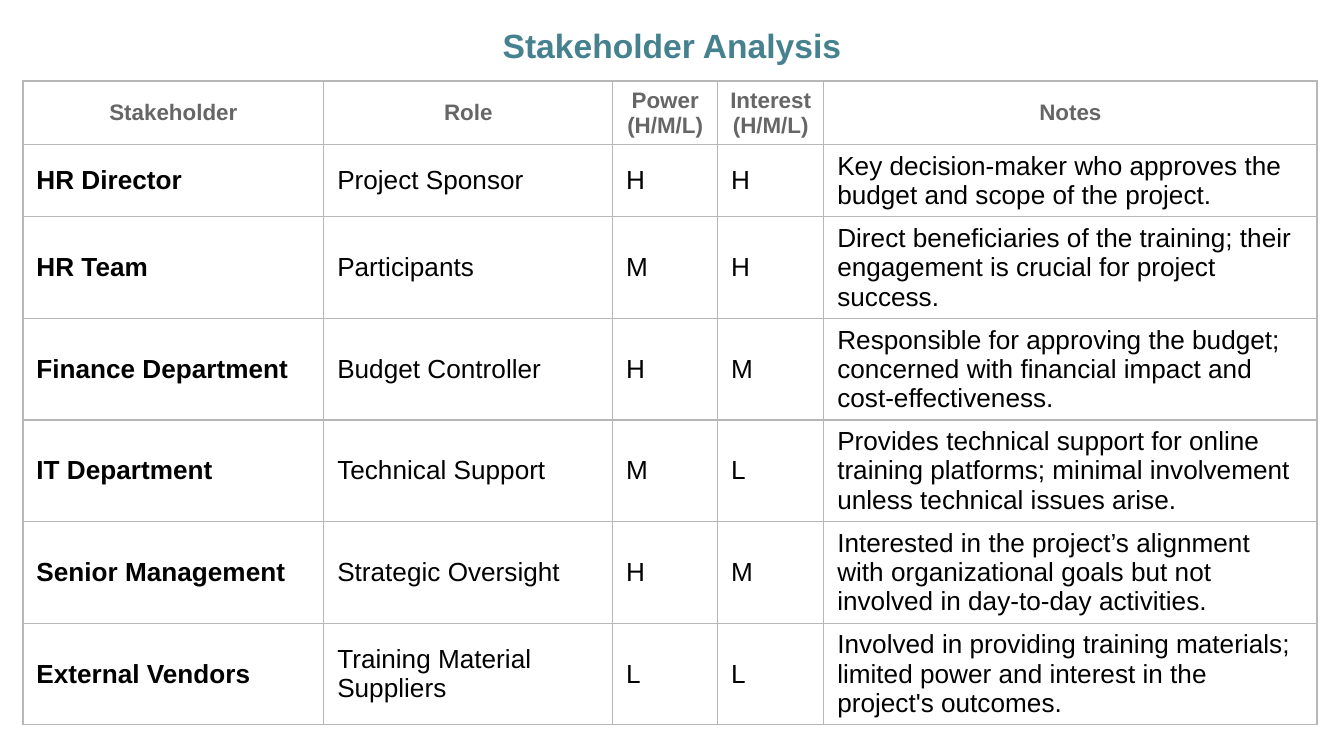
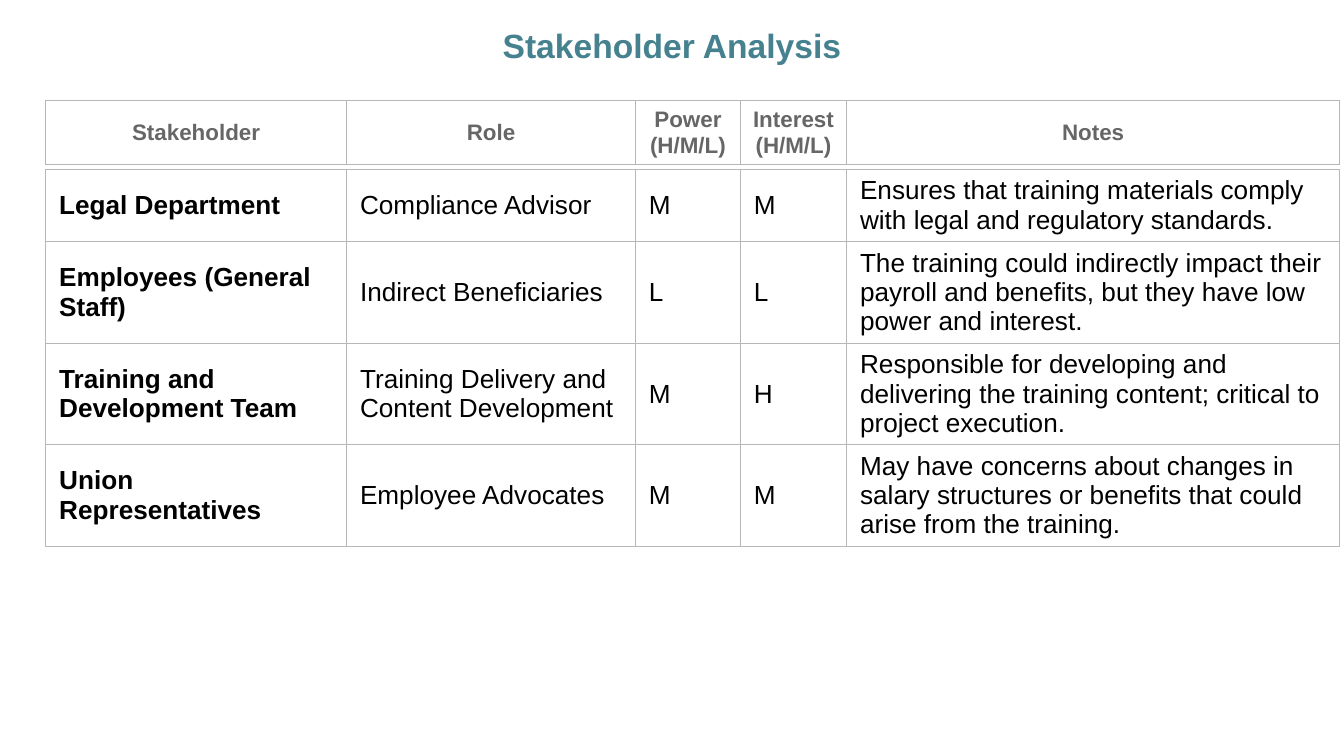
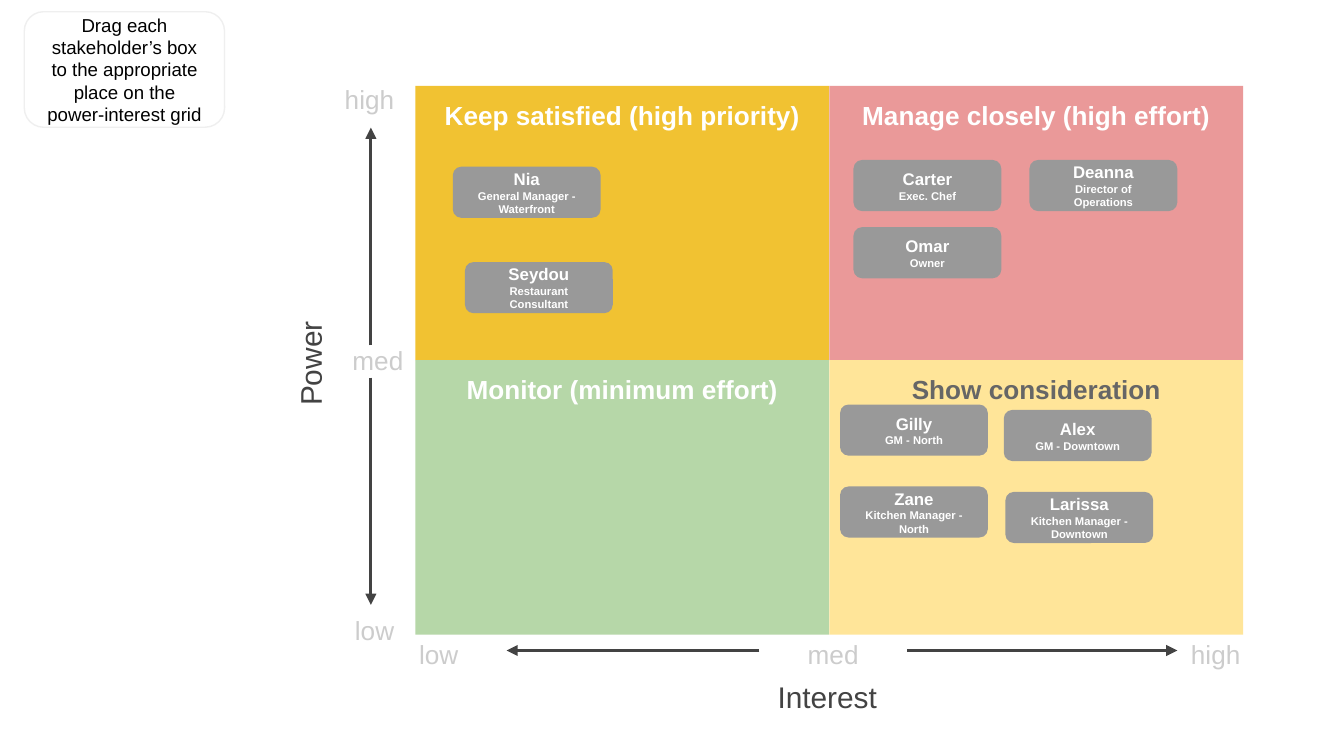
import pptx
import pptx.dml.color
import pptx.enum.shapes
import pptx.enum.text
import pptx.oxml
import pptx.oxml.ns
import pptx.util

Pt = pptx.util.Pt
Align = pptx.enum.text.PP_ALIGN
Anchor = pptx.enum.text.MSO_ANCHOR
Preset = pptx.enum.shapes.MSO_SHAPE

FONT = "Arial"
TEAL, BLACK, WHITE = "45818E", "000000", "FFFFFF"
HEADER_GREY, BORDER_GREY = "666666", "B7B7B7"
CARD_GREY, AXIS_GREY, SCALE_GREY, OUTLINE_GREY = "999999", "434343", "CCCCCC", "EFEFEF"

COLUMN_WIDTHS = [161.2, 154.8, 56.2, 56.9, 264.2]
HEADINGS = ["Stakeholder", "Role", "Power (H/M/L)", "Interest (H/M/L)", "Notes"]
HEADER_HEIGHT, ROW_HEIGHT = 20, 26

MAIN_STAKEHOLDERS = [
    ["HR Director", "Project Sponsor", "H", "H",
     "Key decision-maker who approves the budget and scope of the project."],
    ["HR Team", "Participants", "M", "H",
     "Direct beneficiaries of the training; their engagement is crucial for project success."],
    ["Finance Department", "Budget Controller", "H", "M",
     "Responsible for approving the budget; concerned with financial impact and cost-effectiveness."],
    ["IT Department", "Technical Support", "M", "L",
     "Provides technical support for online training platforms; minimal involvement unless "
     "technical issues arise."],
    ["Senior Management", "Strategic Oversight", "H", "M",
     "Interested in the project’s alignment with organizational goals but not involved in "
     "day-to-day activities."],
    ["External Vendors", "Training Material Suppliers", "L", "L",
     "Involved in providing training materials; limited power and interest in the project's outcomes."],
]
OTHER_STAKEHOLDERS = [
    ["Legal Department", "Compliance Advisor", "M", "M",
     "Ensures that training materials comply with legal and regulatory standards."],
    ["Employees (General Staff)", "Indirect Beneficiaries", "L", "L",
     "The training could indirectly impact their payroll and benefits, but they have low power "
     "and interest."],
    ["Training and Development Team", "Training Delivery and Content Development", "M", "H",
     "Responsible for developing and delivering the training content; critical to project execution."],
    ["Union Representatives", "Employee Advocates", "M", "M",
     "May have concerns about changes in salary structures or benefits that could arise from "
     "the training."],
]

GRID_BOX = (222.5, 46, 443.5, 294)
CARD_SIZE = (79.2, 27.4)
QUADRANTS = [
    ("Keep satisfied (high priority)", "F1C232", WHITE, [
        ("Seydou", "Restaurant Consultant", 26.6, 94.4),
        ("Nia", "General Manager - Waterfront", 20.1, 43.3)]),
    ("Manage closely (high effort)", "EA9999", WHITE, [
        ("Omar", "Owner", 13, 75.7),
        ("Deanna", "Director of Operations", 107.3, 39.7),
        ("Carter", "Exec. Chef", 13, 39.7)]),
    ("Monitor (minimum effort)", "B6D7A8", WHITE, []),
    ("Show consideration", "FFE599", HEADER_GREY, [
        ("Gilly", "GM - North", 5.8, 23.7),
        ("Alex", "GM - Downtown", 93.5, 26.6),
        ("Zane", "Kitchen Manager - North", 5.8, 67.6),
        ("Larissa", "Kitchen Manager - Downtown", 94.4, 70.5)]),
]


def color(value):
    return pptx.dml.color.RGBColor.from_string(value)


def points(box):
    return [Pt(length) for length in box]


def write_text(text_frame, text, size=14, fill=BLACK, bold=False, align=Align.LEFT,
               spacing=None, append=False):
    paragraph = text_frame.add_paragraph() if append else text_frame.paragraphs[0]
    paragraph.alignment = align
    if spacing:
        paragraph.line_spacing = spacing
    run = paragraph.add_run()
    run.text = text
    run.font.name = FONT
    run.font.size = Pt(size)
    run.font.bold = bold
    run.font.color.rgb = color(fill)


def format_frame(text_frame, anchor=Anchor.TOP):
    text_frame.word_wrap = True
    text_frame.auto_size = pptx.enum.text.MSO_AUTO_SIZE.NONE
    text_frame.vertical_anchor = anchor
    text_frame.margin_left = text_frame.margin_right = Pt(7.2)
    text_frame.margin_top = text_frame.margin_bottom = Pt(7.2)
    return text_frame


def add_label(slide, box, text, anchor=Anchor.TOP, rotation=0, **text_format):
    label = slide.shapes.add_textbox(*points(box))
    label.rotation = rotation
    write_text(format_frame(label.text_frame, anchor), text, **text_format)


def add_panel(slide, preset, box, fill=None, line=None, anchor=Anchor.MIDDLE):
    shape = slide.shapes.add_shape(preset, *points(box))
    shape.shadow.inherit = False
    if fill:
        shape.fill.solid()
        shape.fill.fore_color.rgb = color(fill)
    else:
        shape.fill.background()
    if line:
        shape.line.color.rgb = color(line)
        shape.line.width = Pt(0.75)
    else:
        shape.line.fill.background()
    return format_frame(shape.text_frame, anchor)


def add_arrow(slide, start_x, start_y, end_x, end_y):
    arrow = slide.shapes.add_connector(
        pptx.enum.shapes.MSO_CONNECTOR.STRAIGHT, *points((start_x, start_y, end_x, end_y)))
    arrow.line.color.rgb = color(AXIS_GREY)
    arrow.line.width = Pt(1.5)
    line = arrow.line._get_or_add_ln()
    line.append(pptx.oxml.parse_xml(
        f'<a:tailEnd {pptx.oxml.ns.nsdecls("a")} type="triangle"/>'))
    line.addnext(pptx.oxml.parse_xml(f'<a:effectLst {pptx.oxml.ns.nsdecls("a")}/>'))


def add_title(slide, text):
    title = slide.shapes.title
    title.left, title.top, title.width, title.height = points((60, 3, 600, 36))
    write_text(format_frame(title.text_frame), text, size=18, fill=TEAL, bold=True,
               align=Align.CENTER, spacing=1.15)


def format_cell(cell, text, is_header, is_name):
    properties = cell._tc.get_or_add_tcPr()
    for side in ("lnL", "lnR", "lnT", "lnB"):
        properties.append(pptx.oxml.parse_xml(
            f'<a:{side} {pptx.oxml.ns.nsdecls("a")} w="{Pt(0.75)}"><a:solidFill>'
            f'<a:srgbClr val="{BORDER_GREY}"/></a:solidFill></a:{side}>'))
    cell.fill.background()
    cell.vertical_anchor = Anchor.MIDDLE
    cell.margin_left = cell.margin_right = Pt(5 if is_header else 7.2)
    cell.margin_top = cell.margin_bottom = Pt(3.6)
    if is_header:
        write_text(cell.text_frame, text, size=12, fill=HEADER_GREY, bold=True, align=Align.CENTER)
    else:
        write_text(cell.text_frame, text, bold=is_name)


def add_stakeholder_table(slide, box, rows):
    frame = slide.shapes.add_table(len(rows), len(HEADINGS), *points(box))
    table = frame.table
    table.first_row = table.horz_banding = False
    for column, width in zip(table.columns, COLUMN_WIDTHS):
        column.width = Pt(width)
    for row, texts in zip(table.rows, rows):
        is_header = texts is HEADINGS
        row.height = Pt(HEADER_HEIGHT if is_header else ROW_HEIGHT)
        for index, (cell, text) in enumerate(zip(row.cells, texts)):
            format_cell(cell, text, is_header, index == 0)
    frame.height = Pt(box[3])


def add_table_slide(presentation, tables):
    slide = presentation.slides.add_slide(presentation.slide_layouts[5])
    add_title(slide, "Stakeholder Analysis")
    for box, rows in tables:
        add_stakeholder_table(slide, box, rows)


def add_quadrants(slide, box):
    left, top, width, height = box
    cell_width, cell_height = width / 2, height / 2
    for index, (heading, fill, text_fill, cards) in enumerate(QUADRANTS):
        row, column = divmod(index, 2)
        x, y = left + column * cell_width, top + row * cell_height
        frame = add_panel(slide, Preset.RECTANGLE, (x, y, cell_width, cell_height),
                          fill=fill, anchor=Anchor.TOP)
        write_text(frame, heading, fill=text_fill, bold=True, align=Align.CENTER)
        for name, role, card_x, card_y in cards:
            card = add_panel(slide, Preset.ROUNDED_RECTANGLE,
                             (x + card_x, y + card_y, *CARD_SIZE), fill=CARD_GREY)
            write_text(card, name, size=9, fill=WHITE, bold=True, align=Align.CENTER)
            write_text(card, role, size=6, fill=WHITE, bold=True, align=Align.CENTER, append=True)


def add_power_axis(slide, box):
    left, top = box[:2]
    add_label(slide, (left - 122.4, top + 136.2, 131.8, 25.2), "Power", anchor=Anchor.MIDDLE,
              rotation=270, size=16, fill=AXIS_GREY, align=Align.CENTER)
    for text, x, y, width, height in [("high", -100, -8.6, 95.8, 18.7),
                                      ("med", -48.3, 131.1, 49, 31.7),
                                      ("low", -100, 275.8, 95.8, 18.7)]:
        add_label(slide, (left + x, top + y, width, height), text,
                  fill=SCALE_GREY, align=Align.RIGHT)
    for start, end in [(139, 22.4), (156.3, 278)]:
        add_arrow(slide, left - 23.8, top + start, left - 23.8, top + end)


def add_interest_axis(slide, box):
    left, bottom = box[0], box[1] + box[3]
    add_label(slide, (left + 167, bottom + 16.4, 107.3, 33.8), "Interest",
              size=16, fill=AXIS_GREY, align=Align.CENTER)
    for text, x, width in [("low", -23.8, 72.7), ("med", 184.3, 79.2), ("high", 392.4, 72.7)]:
        add_label(slide, (left + x, bottom - 5.2, width, 27.4), text,
                  fill=SCALE_GREY, align=Align.CENTER)
    for start, end in [(263.5, 408.2), (184.3, 48.9)]:
        add_arrow(slide, left + start, bottom + 8.5, left + end, bottom + 8.5)


def add_grid_slide(presentation):
    slide = presentation.slides.add_slide(presentation.slide_layouts[6])
    add_quadrants(slide, GRID_BOX)
    add_power_axis(slide, GRID_BOX)
    add_interest_axis(slide, GRID_BOX)
    hint = add_panel(slide, Preset.ROUNDED_RECTANGLE, (13, 6.3, 107.3, 61.9), line=OUTLINE_GREY)
    write_text(hint, "Drag each stakeholder’s box to the appropriate place on the "
               "power-interest grid", size=10, align=Align.CENTER)


def main():
    presentation = pptx.Presentation()
    presentation.slide_width, presentation.slide_height = Pt(720), Pt(405)
    table_width = sum(COLUMN_WIDTHS)
    add_table_slide(presentation, [((12.3, 43.4, table_width, 366), [HEADINGS] + MAIN_STAKEHOLDERS)])
    add_table_slide(presentation, [((24.5, 90.7, table_width, 214), OTHER_STAKEHOLDERS),
                                   ((24.5, 54, table_width, 36.7), [HEADINGS])])
    add_grid_slide(presentation)
    presentation.save("out.pptx")


if __name__ == "__main__":
    main()
